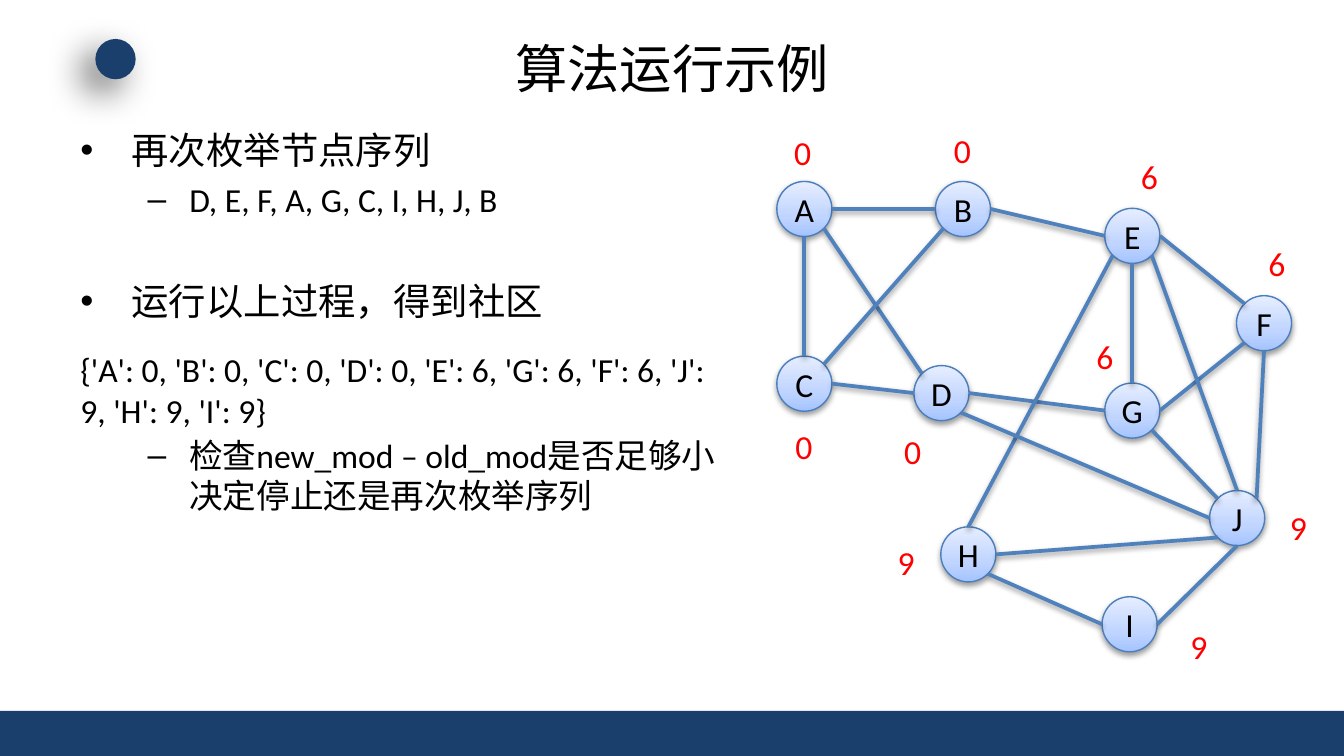
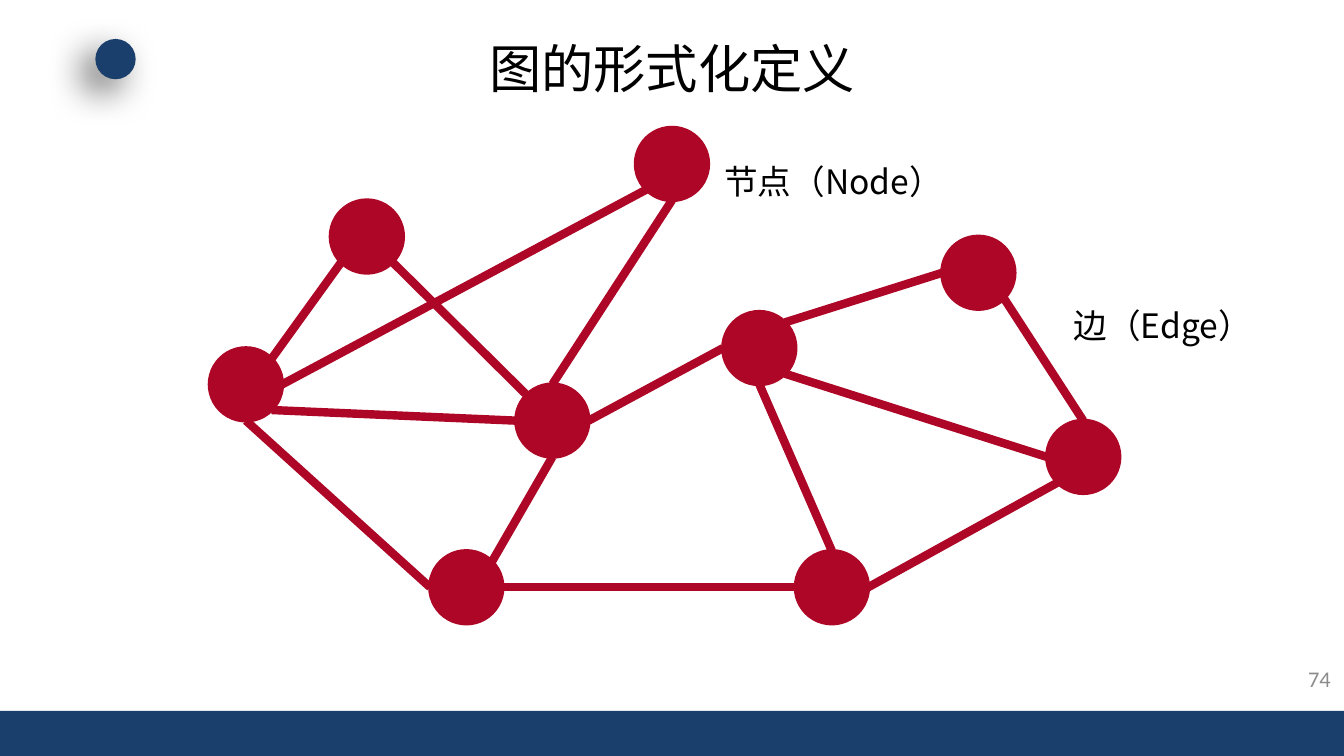
from copy import deepcopy
from math import cos, radians, sin

from lxml import etree
from pptx import Presentation
from pptx import util as u
from pptx.dml.color import RGBColor
from pptx.enum import shapes, text
from pptx.oxml.ns import qn

# Shared look
WIDE = 10
HIGH = WIDE * 9 / 16
NAVY = RGBColor(0x1A, 0x3F, 0x6C)
BLACK = RGBColor(0, 0, 0)
WHITE = RGBColor(255, 255, 255)
RED = RGBColor(255, 0, 0)
CRIMSON = RGBColor(0xAE, 0x06, 0x27)
GREY = RGBColor(0x8C, 0x8C, 0x8C)
RIM = RGBColor(0x4B, 0x7E, 0xBC)
BLUE = RGBColor(0x4F, 0x81, 0xBD)
GLOSS = [(0, RGBColor(0xA4, 0xC4, 0xFF)), (0.35, RGBColor(0xBF, 0xD4, 0xFF)),
         (1, RGBColor(0xE6, 0xEE, 0xFF))]
HAN, LATIN = "Noto Sans CJK SC", "Calibri"
# Shadows: opacity in percent, blur and distance in points, angle
SOFT, DEEP = (38, 3.1, 1.6, 90), (60, 20, 10, 135)
LEFT, MID, RIGHT = text.PP_ALIGN.LEFT, text.PP_ALIGN.CENTER, text.PP_ALIGN.RIGHT

# Slide 1: level, space before, words
STEPS = [
    (0, 0, "再次枚举节点序列"),
    (1, 3.6, "D, E, F, A, G, C, I, H, J, B"),
    (0, 31.5, "运行以上过程，得到社区"),
    (1, 60, "检查new_mod – old_mod是否足够小决定停止还是再次枚举序列"),
]
# Level: size, left margin, hanging indent, bullet
LEVELS = [(20, 0.38, 0.38, "•"), (18, 0.81, 0.31, "–")]
RESULT = ("{'A': 0, 'B': 0, 'C': 0, 'D': 0, 'E': 6, 'G': 6, 'F': 6, "
          "'J': 9, 'H': 9, 'I': 9}")
# Node: left, top, community, left and top of the community number
GROUPS = {
    "A": (5.78, 1.35, "0", 5.81, 0.93), "B": (6.96, 1.35, "0", 7.00, 0.92),
    "C": (5.78, 2.65, "0", 5.82, 3.12), "D": (6.80, 2.72, "0", 6.63, 3.16),
    "E": (8.22, 1.55, "6", 8.39, 1.11), "G": (8.22, 2.85, "6", 8.06, 2.45),
    "F": (9.20, 2.20, "6", 9.34, 1.76), "J": (9.00, 3.65, "9", 9.50, 3.72),
    "H": (7.00, 3.92, "9", 6.58, 3.98), "I": (8.20, 4.44, "9", 8.76, 4.61),
}
# Each edge: node and side, twice
LINKS = """A SE D NW, B SW C NE, A S C N, C E D W, A E B W, B E E W,
    D E G W, E S G N, E E F NW, G E F SW, J NW G SE, J N E SE, J NE F S,
    E SW H N, I W H SE, I E J S, H E J SW, D SE J W"""

# Slide 2
DOTS = {
    "a": (2.46, 1.49), "b": (1.56, 2.59), "c": (3.20, 4.10),
    "d": (3.84, 2.86), "e": (5.38, 2.32), "f": (5.92, 4.10),
    "g": (7.79, 3.13), "h": (7.01, 1.76), "i": (4.73, 0.95),
}
TIES = """b NE a SW, b E i SW, a SE d NW, b SE d W, b S c W, d S c NE,
    f W c E, e W d E, i S d N, h W e NE, h SE g N, f E g SW, e SE g W,
    e S f N"""
NOTES = [("节点（Node）", 5.29, 1.15, 1.88), ("边（Edge）", 7.89, 2.22, 1.56)]

SIDES = {side: radians(45 * turn) for turn, side in
         enumerate(["E", "SE", "S", "SW", "W", "NW", "N", "NE"])}


def style(para, size, color=BLACK, face=LATIN, align=LEFT):
    para.alignment = align
    font = para.font
    font.size, font.name = u.Pt(size), face
    font.color.rgb = color
    etree.SubElement(font._element, qn("a:ea"), typeface=HAN)


def shade(part, glow=None):
    """Give a part the shadow named, or none."""
    props = part._element.spPr
    for old in props.findall(qn("a:effectLst")):
        props.remove(old)
    group = etree.SubElement(props, qn("a:effectLst"))
    if glow:
        alpha, blur, dist, turn = glow
        cast = etree.SubElement(
            group, qn("a:outerShdw"), blurRad=str(u.Pt(blur)),
            dist=str(u.Pt(dist)), dir=str(turn * 60000), rotWithShape="0")
        tint = etree.SubElement(cast, qn("a:srgbClr"), val=str(BLACK))
        etree.SubElement(tint, qn("a:alpha"), val=str(alpha * 1000))


def shape(slide, kind, box, fill=None, line=None, width=1, glow=None):
    part = slide.shapes.add_shape(kind, *map(u.Inches, box))
    if fill is not None:
        part.fill.solid()
        part.fill.fore_color.rgb = fill
    if line is None:
        part.line.fill.background()
    else:
        part.line.color.rgb = line
        part.line.width = u.Pt(width)
    shade(part, glow)
    return part


def disc(slide, left, top, size, **look):
    return shape(slide, shapes.MSO_SHAPE.OVAL, (left, top, size, size), **look)


def label(slide, words, box, size=18, wrap=False, **look):
    part = slide.shapes.add_textbox(*map(u.Inches, box))
    frame = part.text_frame
    frame.word_wrap = wrap
    frame.text = words
    style(frame.paragraphs[0], size, **look)
    return frame


def gloss(part):
    part.fill.gradient()
    part.fill.gradient_angle = 90
    first = part.fill.gradient_stops[0]._gs
    first.addnext(deepcopy(first))
    for stop, (place, color) in zip(part.fill.gradient_stops, GLOSS):
        stop.position, stop.color.rgb = place, color


def join(slide, nodes, edges, size, color, width, glow=None):
    """Draw each edge between the named sides of two round nodes."""
    def spot(name, side):
        left, top = nodes[name][:2]
        turn = SIDES[side]
        return (u.Inches(left + size / 2 * (1 + cos(turn))),
                u.Inches(top + size / 2 * (1 + sin(turn))))

    for edge in edges.split(","):
        start, side, end, other = edge.split()
        line = slide.shapes.add_connector(
            shapes.MSO_CONNECTOR.STRAIGHT, *spot(start, side), *spot(end, other))
        line.line.color.rgb = color
        line.line.width = u.Pt(width)
        shade(line, glow)


def begin(deck, words):
    """Start a slide with its band, dot and title."""
    slide = deck.slides.add_slide(deck.slide_layouts[5])
    slide.background.fill.solid()
    slide.background.fill.fore_color.rgb = WHITE
    shape(slide, shapes.MSO_SHAPE.RECTANGLE, (0, 5.29, WIDE, HIGH - 5.29), fill=NAVY)
    disc(slide, 0.71, 0.29, 0.3, fill=NAVY, glow=DEEP)
    title = slide.shapes.title
    title.left, title.top, title.width, title.height = map(
        u.Inches, (0.5, 0.23, 9, 0.55))
    frame = title.text_frame
    frame.text = words
    frame.auto_size = text.MSO_AUTO_SIZE.NONE
    frame.vertical_anchor = text.MSO_ANCHOR.MIDDLE
    style(frame.paragraphs[0], 28, face=HAN, align=MID)
    return slide


def outline(slide):
    frame = slide.shapes.add_textbox(
        *map(u.Inches, (0.5, 0.9, 5.12, 4.32))).text_frame
    frame.word_wrap = True
    for i, (level, gap, words) in enumerate(STEPS):
        para = frame.add_paragraph() if i else frame.paragraphs[0]
        para.text, para.level = words, level
        size, margin, hang, mark = LEVELS[level]
        props = para._p.get_or_add_pPr()
        props.set("marL", str(u.Inches(margin)))
        props.set("indent", str(-u.Inches(hang)))
        etree.SubElement(props, qn("a:buFont"), typeface="Arial")
        etree.SubElement(props, qn("a:buChar"), char=mark)
        para.space_before = u.Pt(gap)
        style(para, size, face=LATIN if level else HAN)


def run_slide(deck):
    slide = begin(deck, "算法运行示例")
    outline(slide)
    size = 0.41
    for name, (left, top, group, x, y) in GROUPS.items():
        node = disc(slide, left, top, size, line=RIM, width=0.75, glow=SOFT)
        gloss(node)
        frame = node.text_frame
        frame.text = name
        frame.word_wrap = False
        frame.margin_left = frame.margin_right = 0
        frame.margin_top = frame.margin_bottom = 0
        frame.vertical_anchor = text.MSO_ANCHOR.MIDDLE
        style(frame.paragraphs[0], 18, align=MID)
        label(slide, group, (x, y, 0.33, 0.4), color=RED)
    join(slide, GROUPS, LINKS, size, BLUE, 2, SOFT)
    label(slide, RESULT, (0.5, 2.55, 5, 0.71), wrap=True)


def graph_slide(deck):
    slide = begin(deck, "图的形式化定义")
    size = 0.54
    for left, top in DOTS.values():
        disc(slide, left, top, size, fill=CRIMSON, line=CRIMSON, width=2)
    join(slide, DOTS, TIES, size, CRIMSON, 4.5)
    for words, left, top, width in NOTES:
        label(slide, words, (left, top, width, 0.4), wrap=True, face=HAN)
    # Page number
    frame = label(slide, "74", (9.55, 4.9, 0.45, 0.3), 12, True,
                  color=GREY, align=RIGHT)
    frame.vertical_anchor = text.MSO_ANCHOR.MIDDLE


def main():
    deck = Presentation()
    deck.slide_width, deck.slide_height = u.Inches(WIDE), u.Inches(HIGH)
    run_slide(deck)
    graph_slide(deck)
    deck.save("out.pptx")


if __name__ == "__main__":
    main()
